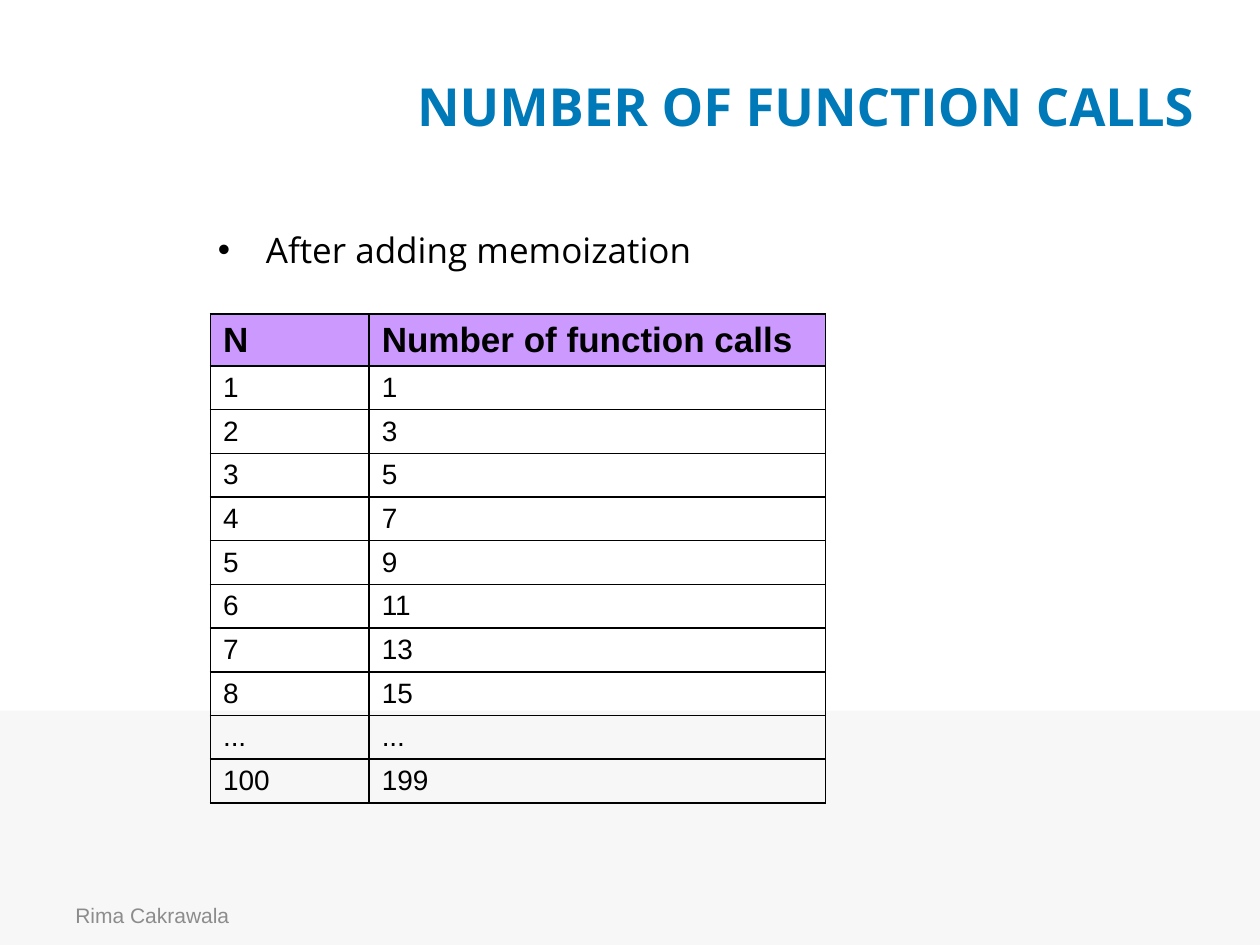
"""Build the slide on function call counts after memoization."""
from lxml import etree
from pptx import Presentation
from pptx.dml.color import RGBColor
from pptx.enum.shapes import MSO_SHAPE
from pptx.enum.text import MSO_ANCHOR, MSO_AUTO_SIZE, PP_ALIGN
from pptx.oxml.ns import qn
from pptx.util import Inches, Pt

RECTANGLE = MSO_SHAPE.RECTANGLE
MIDDLE, TOP = MSO_ANCHOR.MIDDLE, MSO_ANCHOR.TOP
CENTER, LEFT = PP_ALIGN.CENTER, PP_ALIGN.LEFT
NO_AUTOFIT = MSO_AUTO_SIZE.NONE

TITLE = "NUMBER OF FUNCTION CALLS"
BULLET = "After adding memoization"
FOOTER = "Rima Cakrawala"
HEADER = ("N", "Number of function calls")
CALLS = [(str(n), str(2 * n - 1)) for n in range(1, 9)]
ROWS = [HEADER, *CALLS, ("...", "..."), ("100", "199")]

COLORS = {
    "band": "F7F7F7",
    "title": "0079B8",
    "text": "000000",
    "footer": "8C8C8C",
    "header": "CC99FF",
    "border": "000000",
}
HEADING_FONT, TABLE_FONT = "Open Sans", "Arial"
COLUMN_WIDTHS = (1.26, 3.62)
TABLE_LEFT, TABLE_TOP, TABLE_HEIGHT = 1.67, 2.49, 3.88
HEADER_HEIGHT = 0.41
ROW_HEIGHT = (TABLE_HEIGHT - HEADER_HEIGHT) / (len(ROWS) - 1)
BORDER_SIDES = ("a:lnL", "a:lnR", "a:lnT", "a:lnB")


def color(name):
    return RGBColor.from_string(COLORS[name])


def place(shape, left, top, width, height):
    shape.left, shape.top = Inches(left), Inches(top)
    shape.width, shape.height = Inches(width), Inches(height)


def write(frame, text, font, size, color_name, bold=False, align=LEFT, anchor=MIDDLE):
    frame.text = text
    frame.word_wrap = True
    frame.vertical_anchor = anchor
    paragraph = frame.paragraphs[0]
    paragraph.alignment = align
    run_font = paragraph.runs[0].font
    run_font.name, run_font.size, run_font.bold = font, Pt(size), bold
    run_font.color.rgb = color(color_name)
    return paragraph


def hang(paragraph):
    properties = paragraph._p.get_or_add_pPr()
    properties.set("marL", str(Inches(0.38)))
    properties.set("indent", str(-Inches(0.38)))
    return properties


def add_borders(cell):
    properties = cell._tc.get_or_add_tcPr()
    for position, side in enumerate(BORDER_SIDES):
        line = etree.Element(qn(side), w=str(Pt(1)))
        fill = etree.SubElement(line, qn("a:solidFill"))
        etree.SubElement(fill, qn("a:srgbClr"), val=COLORS["border"])
        properties.insert(position, line)


def add_band(slide):
    band = slide.shapes.add_shape(
        RECTANGLE, Inches(0), Inches(5.64), Inches(10), Inches(1.86))
    band.shadow.inherit = False
    band.fill.solid()
    band.fill.fore_color.rgb = color("band")
    band.line.fill.background()
    slide.shapes._spTree.insert(2, band._element)


def add_headings(slide):
    title, body = slide.placeholders
    place(title, 1.67, 0.52, 9.45, 0.63)
    title.text_frame.auto_size = NO_AUTOFIT
    write(title.text_frame, TITLE, HEADING_FONT, 30, "title", True, CENTER)

    place(body, 1.63, 1.83, 9.45, 0.39)
    body.text_frame.auto_size = NO_AUTOFIT
    bullet = write(body.text_frame, BULLET, HEADING_FONT, 20, "text", anchor=TOP)
    bullet.line_spacing = 0.8
    bullet.space_before = Pt(4)
    properties = hang(bullet)
    etree.SubElement(properties, qn("a:buFont"), typeface="Arial")
    etree.SubElement(properties, qn("a:buChar"), char="•")


def add_calls_table(slide):
    table = slide.shapes.add_table(
        len(ROWS), len(HEADER), Inches(TABLE_LEFT), Inches(TABLE_TOP),
        Inches(sum(COLUMN_WIDTHS)), Inches(TABLE_HEIGHT)).table
    table.horz_banding = False
    for column, width in zip(table.columns, COLUMN_WIDTHS):
        column.width = Inches(width)
    for index, (row, values) in enumerate(zip(table.rows, ROWS)):
        is_header = index == 0
        row.height = Inches(HEADER_HEIGHT if is_header else ROW_HEIGHT)
        for cell, value in zip(row.cells, values):
            cell.margin_top = cell.margin_bottom = Inches(0.04)
            cell.vertical_anchor = MIDDLE
            size = 20 if is_header else 16
            hang(write(cell.text_frame, value, TABLE_FONT, size, "text", is_header))
            if is_header:
                cell.fill.solid()
                cell.fill.fore_color.rgb = color("header")
            else:
                cell.fill.background()
            add_borders(cell)


def add_footer(slide):
    footer = slide.shapes.add_textbox(
        Inches(0.5), Inches(7.06), Inches(2.33), Inches(0.4))
    write(footer.text_frame, FOOTER, TABLE_FONT, 12, "footer")


def main():
    deck = Presentation()
    deck.slide_width, deck.slide_height = Inches(10), Inches(7.5)
    slide = deck.slides.add_slide(deck.slide_layouts[1])
    add_band(slide)
    add_footer(slide)
    add_headings(slide)
    add_calls_table(slide)
    deck.save("out.pptx")


if __name__ == "__main__":
    main()
